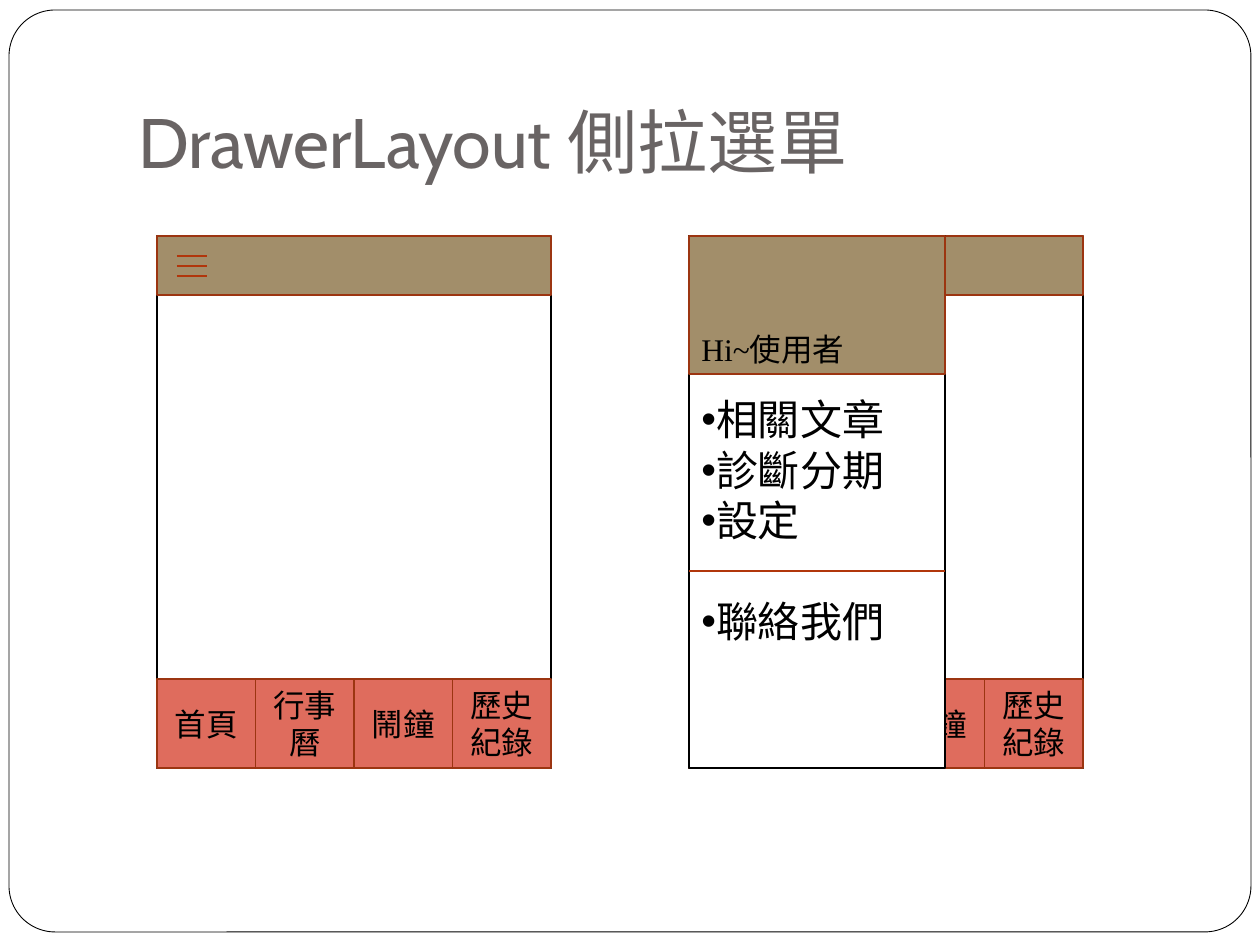
from lxml import etree
from pptx import Presentation
from pptx import util as u
from pptx.dml.color import RGBColor
from pptx.enum import shapes, text
from pptx.oxml.ns import qn

SCALE = 914400 / 126
HUE = {"white": "FFFFFF", "black": "000000", "title": "696464", "tab": "DF6C5D",
       "bar": "A28E6A", "edge": "9C3511", "rule": "B1360B"}
SERIF = "Times New Roman"
TOP, WIDE, HIGH = 236, 394, 532
BAR, TAB, DRAW, HEAD = 59, 89, 256, 138


def px(n):
    return u.Emu(round(n * SCALE))


def rgb(name):
    return RGBColor.from_string(HUE[name])


def box(host, x, y, w, h, fill, line, pt=1, kind=shapes.MSO_SHAPE.RECTANGLE):
    shape = host.add_shape(kind, px(x), px(y), px(w), px(h))
    shape.shadow.inherit = False
    shape.fill.solid()
    shape.fill.fore_color.rgb = rgb(fill)
    shape.line.color.rgb = rgb(line)
    shape.line.width = u.Pt(pt)
    return shape


def rule(host, x, y, w):
    line = host.add_connector(shapes.MSO_CONNECTOR.STRAIGHT, px(x), px(y), px(x + w), px(y))
    line.line.color.rgb = rgb("rule")
    line.line.width = u.Pt(0.75)
    etree.SubElement(line._element.spPr, qn("a:effectLst"))


def write(shape, lines, size, anchor, align=text.PP_ALIGN.LEFT,
          font=SERIF, color="black"):
    frame = shape.text_frame
    frame.word_wrap = True
    frame.vertical_anchor = anchor
    for i, words in enumerate(lines):
        para = frame.add_paragraph() if i else frame.paragraphs[0]
        para.alignment = align
        run = para.add_run()
        run.text = words
        run.font.size = u.Pt(size)
        run.font.name = font
        run.font.color.rgb = rgb(color)
    return frame


def bullet(para):
    props = para._p.get_or_add_pPr()
    props.set("marL", "0")
    props.set("indent", "0")
    face = etree.SubElement(props, qn("a:buFont"))
    face.set("typeface", "Arial")
    etree.SubElement(props, qn("a:buChar")).set("char", "•")


def phone(host, x, tabs):
    box(host, x, TOP, WIDE, HIGH, "white", "black")
    # Bottom tabs
    y = TOP + HIGH - TAB
    box(host, x, y, WIDE, TAB, "tab", "black")
    step = WIDE / len(tabs)
    for i, name in enumerate(tabs):
        tab = box(host, x + i * step, y, step, TAB, "tab", "edge")
        if name:
            write(tab, [name], 18, text.MSO_ANCHOR.MIDDLE, text.PP_ALIGN.CENTER)
    # Top bar
    box(host, x, TOP, WIDE, BAR, "bar", "edge")


def drawer(host, x):
    # Menu panel
    panel = box(host, x, TOP, DRAW, HIGH, "white", "black")
    items = ["相關文章", "診斷分期", "設定", "聯絡我們"]
    frame = write(panel, items, 24, text.MSO_ANCHOR.TOP)
    frame.margin_top = px(158)
    frame.paragraphs[-1].space_before = u.Pt(29)
    for para in frame.paragraphs:
        bullet(para)
    # User header and divider
    head = box(host, x, TOP, DRAW, HEAD, "bar", "edge")
    write(head, ["Hi~使用者"], 18, text.MSO_ANCHOR.BOTTOM)
    rule(host, x, 571, DRAW)


def main():
    deck = Presentation()
    deck.slide_width, deck.slide_height = px(1260), px(945)
    slide = deck.slides.add_slide(deck.slide_layouts[6])

    # Frame and title
    card = box(slide.shapes, 9, 10, 1242, 922, "white", "black", 0.5,
               shapes.MSO_SHAPE.ROUNDED_RECTANGLE)
    card.adjustments[0] = 0.05
    title = slide.shapes.add_textbox(px(126), px(38), px(1071), px(157))
    frame = write(title, ["DrawerLayout 側拉選單"], 40, text.MSO_ANCHOR.BOTTOM,
                  font="Cabin", color="title")
    frame.margin_bottom = u.Inches(0.1)

    # Closed drawer with menu icon
    shut = slide.shapes.add_group_shape().shapes
    phone(shut, 157, ["首頁", "行事曆", "鬧鐘", "歷史紀錄"])
    for i in range(3):
        rule(shut, 177, 256 + 10 * i, 30)

    # Open drawer
    wide = slide.shapes.add_group_shape().shapes
    phone(wide, 689, ["", "", "鬧鐘", "歷史紀錄"])
    drawer(wide, 689)

    deck.save("out.pptx")


if __name__ == "__main__":
    main()
